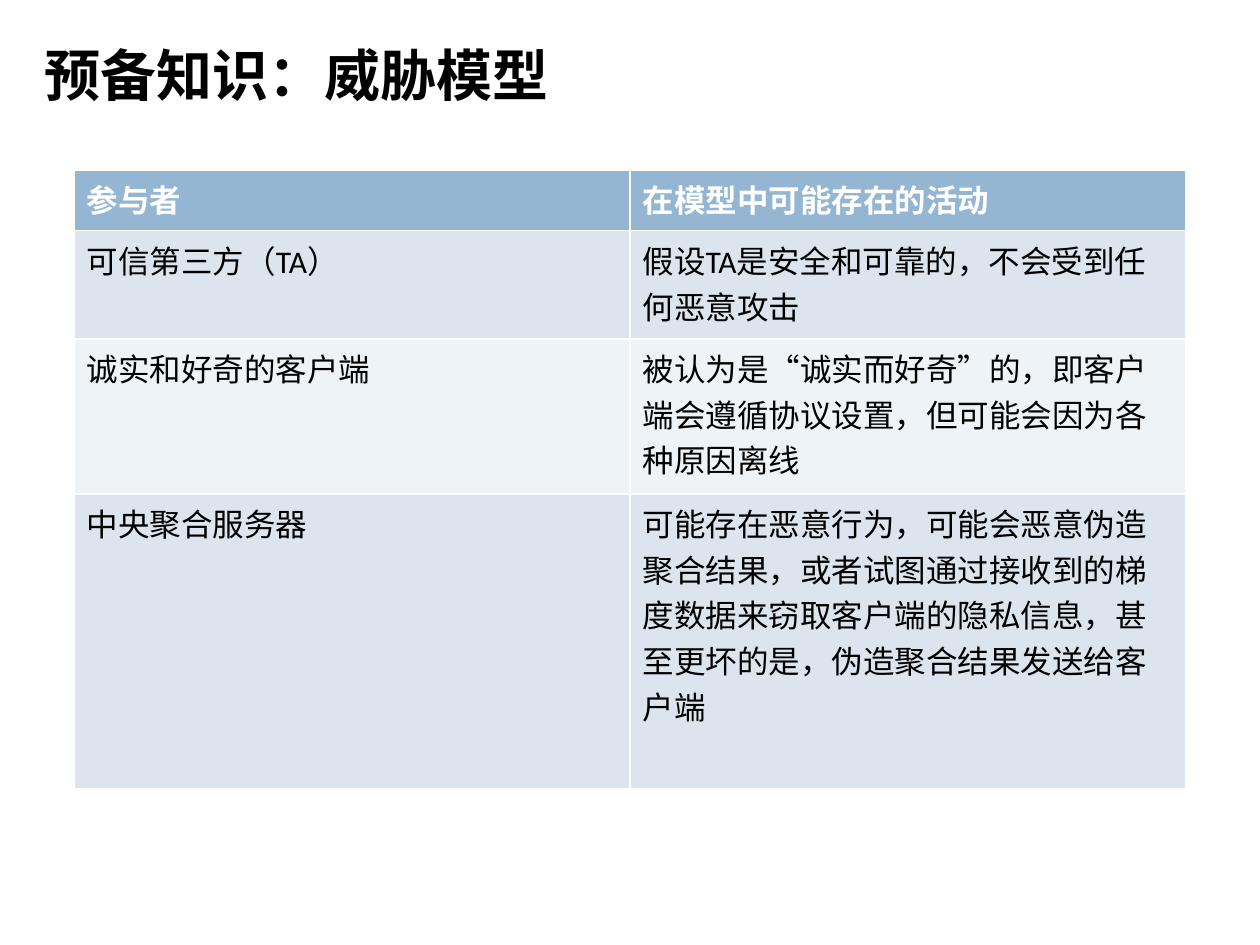
from lxml.etree import SubElement
from pptx import Presentation
from pptx.dml.color import RGBColor
from pptx.enum.text import MSO_ANCHOR, PP_ALIGN
from pptx.oxml.ns import qn
from pptx.util import Inches, Pt

TITLE = "预备知识：威胁模型"
THREATS = [
    ("参与者", "在模型中可能存在的活动"),
    ("可信第三方（TA）", "假设TA是安全和可靠的，不会受到任何恶意攻击"),
    ("诚实和好奇的客户端",
     "被认为是“诚实而好奇”的，即客户端会遵循协议设置，但可能会因为各种原因离线"),
    ("中央聚合服务器",
     "可能存在恶意行为，可能会恶意伪造聚合结果，或者试图通过接收到的梯度数据来窃取"
     "客户端的隐私信息，甚至更坏的是，伪造聚合结果发送给客户端"),
]
ROW_HEIGHTS = [0.48, 0.86, 1.23, 2.34]
TABLE_WIDTH = 8.82

BLACK = RGBColor(0, 0, 0)
WHITE = RGBColor(255, 255, 255)
HEADER_BLUE = RGBColor(0x94, 0xB6, 0xD2)
BANDS = [RGBColor(0xEE, 0xF3, 0xF7), RGBColor(0xDC, 0xE5, 0xEE)]
CJK_FONT = "Noto Sans CJK SC"


def write(frame, text, size, latin, color, bold):
    frame.text = text
    paragraph = frame.paragraphs[0]
    paragraph.alignment = PP_ALIGN.LEFT
    font = paragraph.font
    font.size, font.name, font.bold = Pt(size), latin, bold
    font.color.rgb = color
    properties = paragraph._p.pPr.find(qn("a:defRPr"))
    SubElement(properties, qn("a:ea")).set("typeface", CJK_FONT)


prs = Presentation()
prs.slide_width, prs.slide_height = Inches(10), Inches(7.5)
slide = prs.slides.add_slide(prs.slide_layouts[5])

title = slide.shapes.title
title.left, title.top = Inches(0.25), Inches(0.25)
title.width, title.height = Inches(6.92), Inches(0.67)
title.text_frame.vertical_anchor = MSO_ANCHOR.MIDDLE
write(title.text_frame, TITLE, 32, CJK_FONT, BLACK, True)

table = slide.shapes.add_table(
    len(THREATS), 2, Inches(0.59), Inches(1.35),
    Inches(TABLE_WIDTH), Inches(sum(ROW_HEIGHTS))).table

for r, (entries, height) in enumerate(zip(THREATS, ROW_HEIGHTS)):
    table.rows[r].height = Inches(height)
    header = r == 0
    for c, entry in enumerate(entries):
        cell = table.cell(r, c)
        cell.fill.solid()
        cell.fill.fore_color.rgb = HEADER_BLUE if header else BANDS[r % 2]
        write(cell.text_frame, entry, 18, "Calibri", WHITE if header else BLACK, header)

prs.save("out.pptx")
